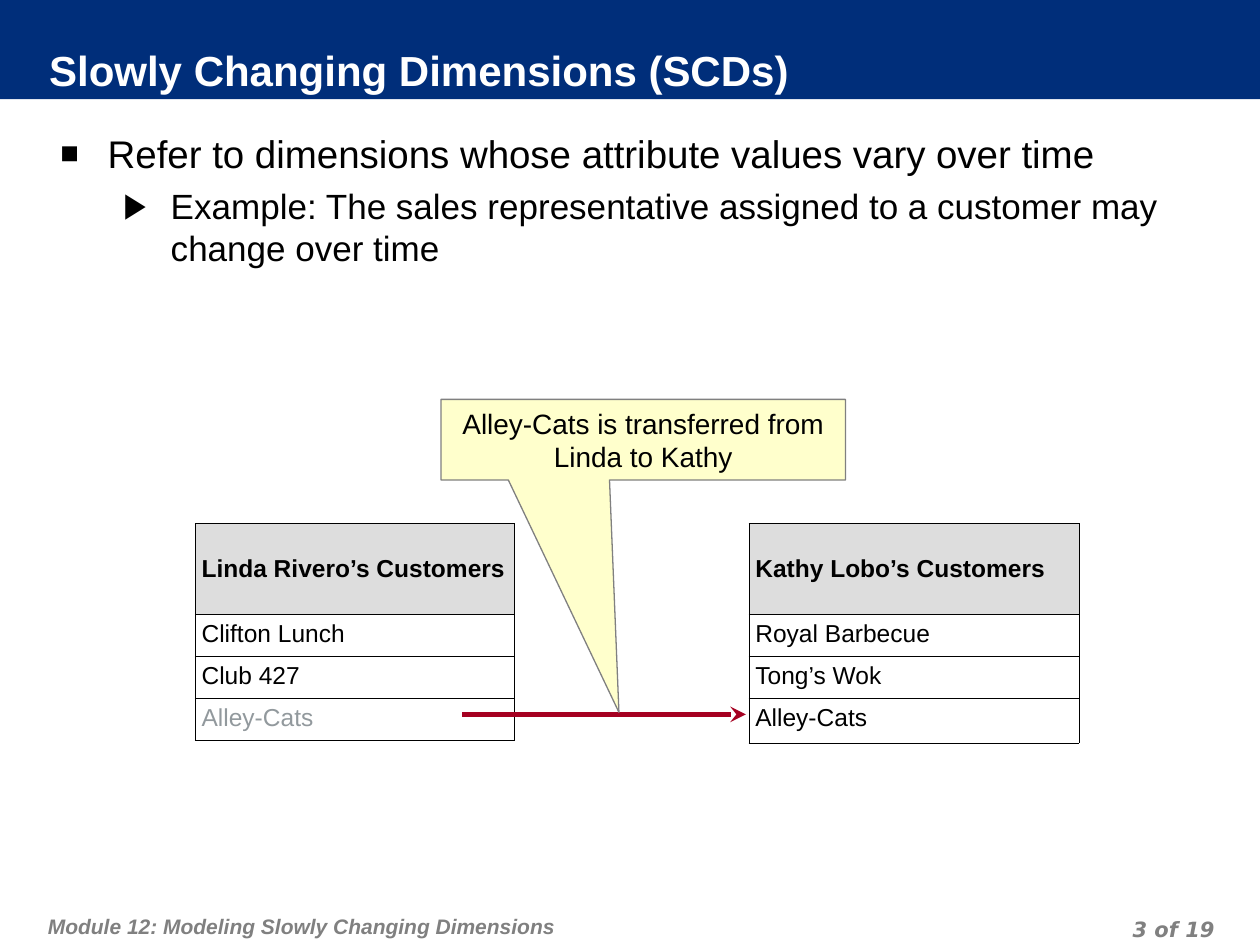
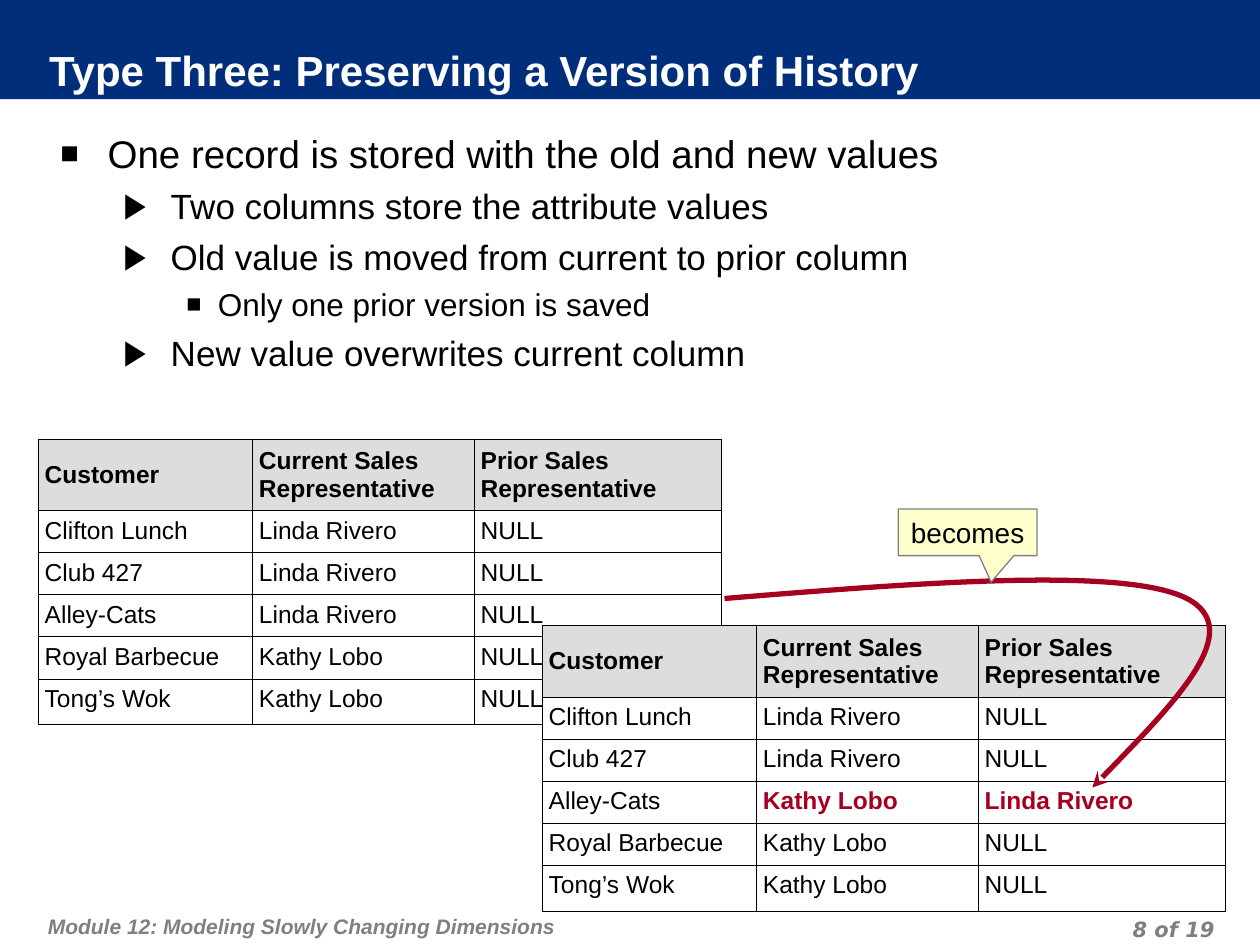
import lxml.etree
import pptx
import pptx.dml.color
import pptx.enum.shapes
import pptx.enum.text
import pptx.oxml.ns
import pptx.util

COLORS = {
    "navy": "002E7A", "white": "FFFFFF", "black": "000000", "gray": "808080",
    "faded": "92999D", "header": "DDDDDD", "note": "FFFFCC", "red": "A50021",
}
FONT = "Arial"
PAGE_COLUMNS, PAGE_ROWS = 100, 75
STEP = pptx.util.Inches(0.1)  # side of one grid square

# Bullet levels: marker, marker size in %, text size, space before, left, hang
LEVELS = [
    ("■", 80, 22, 5.5, 3.75, 3.75),
    ("▶", 100, 20, 5, 8.75, 3.75),
    ("■", 80, 18, 4.5, 12.5, 2.5),
]
PRIOR_COLUMNS = [17, 17.6, 19.6]
PRIOR_ROWS = [5.3, 3.15, 3.3, 3.3, 3.3, 3.65]
PRIOR_HEADER = ["Customer", "Current Sales Representative", "Prior Sales Representative"]
CUSTOMERS = [
    ("Clifton Lunch", "Linda Rivero"), ("Club 427", "Linda Rivero"),
    ("Alley-Cats", "Linda Rivero"), ("Royal Barbecue", "Kathy Lobo"),
    ("Tong’s Wok", "Kathy Lobo"),
]


# Shared helpers
def grid(*squares):
    return [pptx.util.Emu(round(count * STEP)) for count in squares]


def rgb(color):
    return pptx.dml.color.RGBColor.from_string(COLORS[color])


def add_xml(parent, tag, **attributes):
    return lxml.etree.SubElement(parent, pptx.oxml.ns.qn(tag), attributes)


def paint(target, color):
    target.fill.solid()
    target.fill.fore_color.rgb = rgb(color)


def set_line(shape, color, width):
    shape.line.color.rgb = rgb(color)
    shape.line.width = pptx.util.Pt(width)


def add_arrowhead(shape):
    line = shape.element.spPr.find(pptx.oxml.ns.qn("a:ln"))
    add_xml(line, "a:tailEnd", type="stealth")


def style(para, size, color="black", bold=False, italic=False, font=FONT):
    para.font.name = font
    para.font.size = pptx.util.Pt(size)
    para.font.color.rgb = rgb(color)
    para.font.bold = bold
    para.font.italic = italic


def set_margins(target, left, top, right, bottom):
    (target.margin_left, target.margin_top,
     target.margin_right, target.margin_bottom) = grid(left, top, right, bottom)


def move(shape, *place):
    shape.left, shape.top, shape.width, shape.height = grid(*place)


# Page frame: band, footer, title
def add_footer(page, place, margins, text, font, align):
    box = page.shapes.add_textbox(*grid(*place))
    frame = box.text_frame
    frame.word_wrap = True
    set_margins(frame, *margins)
    para = frame.paragraphs[0]
    para.text = text
    para.alignment = align
    para.line_spacing = pptx.util.Pt(18)
    para.space_before = pptx.util.Pt(6)
    style(para, 12, "gray", bold=True, italic=True, font=font)


def add_page(deck, title, number):
    page = deck.slides.add_slide(deck.slide_layouts[1])
    band = page.shapes.add_shape(
        pptx.enum.shapes.MSO_SHAPE.RECTANGLE, *grid(0, 0, PAGE_COLUMNS, 7.87))
    band.shadow.inherit = False
    paint(band, "navy")
    band.line.fill.background()
    page.shapes._spTree.insert(2, band.element)  # behind the title

    align = pptx.enum.text.PP_ALIGN
    add_footer(page, (3.3, 71, 61.8, 4), (0.5, 1, 0.5, 0.5),
               "Module 12: Modeling Slowly Changing Dimensions", FONT, align.LEFT)
    add_footer(page, (73.6, 72.2, 23.3, 2.5), (0.5, 0, 0.5, 0),
               f"{number} of 19", "DejaVu Sans", align.RIGHT)

    heading = page.shapes.title
    move(heading, 3.9, 3.8, 78.7, 4)
    paint(heading, "navy")
    frame = heading.text_frame
    frame.text = title
    frame.auto_size = pptx.enum.text.MSO_AUTO_SIZE.NONE
    frame.vertical_anchor = pptx.enum.text.MSO_ANCHOR.MIDDLE
    set_margins(frame, 0, 0, 0.5, 0.5)
    frame.paragraphs[0].alignment = align.LEFT
    style(frame.paragraphs[0], 24, "white", bold=True)
    return page


# Content elements
def fill_body(page, items):
    body = page.placeholders[1]
    move(body, 3.8, 9.3, 93, 61.8)
    frame = body.text_frame
    frame.auto_size = pptx.enum.text.MSO_AUTO_SIZE.NONE
    frame.vertical_anchor = pptx.enum.text.MSO_ANCHOR.TOP
    set_margins(frame, 1, 1, 1, 0.5)
    frame.text = "\n".join(text for _, text in items)
    for para, (level, _) in zip(frame.paragraphs, items):
        marker, marker_size, size, before, left, hang = LEVELS[level]
        para.level = level
        para.space_before = pptx.util.Pt(before)
        properties = para._p.get_or_add_pPr()
        indent, hanging = grid(left, hang)
        properties.set("marL", str(indent))
        properties.set("indent", str(-hanging))
        add_xml(add_xml(properties, "a:buClr"), "a:srgbClr", val=COLORS["black"])
        add_xml(properties, "a:buSzPct", val=str(marker_size * 1000))
        add_xml(properties, "a:buFont", typeface=FONT)
        add_xml(properties, "a:buChar", char=marker)
        style(para, size)


def add_borders(cell):
    properties = cell._tc.get_or_add_tcPr()
    for side in ("a:lnL", "a:lnR", "a:lnT", "a:lnB"):
        border = add_xml(properties, side, w=str(pptx.util.Pt(0.45)))
        add_xml(add_xml(border, "a:solidFill"), "a:srgbClr", val=COLORS["black"])


def add_table(page, left, top, columns, heights, rows, accents):
    """Accents maps (row, column) to the colour and weight of a cell's text."""
    place = grid(left, top, sum(columns), sum(heights))
    table = page.shapes.add_table(len(rows), len(columns), *place).table
    table.first_row = table.horz_banding = False
    for column, width in zip(table.columns, grid(*columns)):
        column.width = width
    for row, height in zip(table.rows, grid(*heights)):
        row.height = height
    for row, texts in enumerate(rows):
        for column, text in enumerate(texts):
            cell = table.cell(row, column)
            is_header = row == 0
            anchor = pptx.enum.text.MSO_ANCHOR
            cell.vertical_anchor = anchor.MIDDLE if is_header else anchor.TOP
            set_margins(cell, 0.5, 0.5, 0.2, 0.5)
            add_borders(cell)
            paint(cell, "header" if is_header else "white")
            cell.text = text
            para = cell.text_frame.paragraphs[0]
            para.space_before = pptx.util.Pt(3.5)
            color, bold = accents.get((row, column), ("black", is_header))
            style(para, 14, color, bold)


def add_callout(page, place, pointer, text, wrap=True):
    callout = page.shapes.add_shape(
        pptx.enum.shapes.MSO_SHAPE.RECTANGULAR_CALLOUT, *grid(*place))
    callout.shadow.inherit = False
    callout.adjustments[0], callout.adjustments[1] = pointer
    paint(callout, "note")
    set_line(callout, "gray", 0.75)
    frame = callout.text_frame
    frame.word_wrap = wrap
    frame.vertical_anchor = pptx.enum.text.MSO_ANCHOR.MIDDLE
    set_margins(frame, 1, 0.5, 1, 0.5)
    para = frame.paragraphs[0]
    para.text = text
    para.alignment = pptx.enum.text.PP_ALIGN.CENTER
    style(para, 16)


def add_arrow(page, *ends):
    arrow = page.shapes.add_connector(
        pptx.enum.shapes.MSO_CONNECTOR.STRAIGHT, *grid(*ends))
    set_line(arrow, "red", 3)
    add_arrowhead(arrow)
    add_xml(arrow.element.spPr, "a:effectLst")


def add_curved_arrow(page, start, controls):
    """Every three controls make one Bézier segment."""
    builder = page.shapes.build_freeform(*grid(*start))
    builder.add_line_segments([grid(*point) for point in controls], close=False)
    curve = builder.convert_to_shape()
    curve.shadow.inherit = False
    curve.fill.background()
    set_line(curve, "red", 3)
    add_arrowhead(curve)
    outline = next(curve.element.iter(pptx.oxml.ns.qn("a:path")))
    outline.set("fill", "none")
    segments = outline.findall(pptx.oxml.ns.qn("a:lnTo"))
    for first in range(0, len(segments), 3):
        bezier = add_xml(outline, "a:cubicBezTo")
        for segment in segments[first:first + 3]:
            bezier.append(segment[0])
            outline.remove(segment)


# Slides
def build_overview(deck):
    page = add_page(deck, "Slowly Changing Dimensions (SCDs)", 3)
    fill_body(page, [
        (0, "Refer to dimensions whose attribute values vary over time"),
        (1, "Example: The sales representative assigned to a customer may "
            "change over time"),
    ])
    linda = ["Linda Rivero’s Customers", "Clifton Lunch", "Club 427", "Alley-Cats"]
    kathy = ["Kathy Lobo’s Customers", "Royal Barbecue", "Tong’s Wok", "Alley-Cats"]
    for names, left, width, last, accents in (
            (linda, 15.5, 25.3, 3.25, {(3, 0): ("faded", False)}),
            (kathy, 59.45, 26.2, 3.55, {})):
        add_table(page, left, 41.55, [width], [7.2, 3.15, 3.15, last],
                  [[name] for name in names], accents)
    add_arrow(page, 36.7, 56.7, 59.2, 56.7)
    add_callout(page, (35, 31.7, 32.1, 6.4), (-0.06, 3.38),
                "Alley-Cats is transferred from Linda to Kathy")


def build_type_three(deck):
    page = add_page(deck, "Type Three: Preserving a Version of History", 8)
    fill_body(page, [
        (0, "One record is stored with the old and new values"),
        (1, "Two columns store the attribute values"),
        (1, "Old value is moved from current to prior column"),
        (2, "Only one prior version is saved"),
        (1, "New value overwrites current column"),
    ])
    before = [PRIOR_HEADER] + [[name, rep, "NULL"] for name, rep in CUSTOMERS]
    after = [list(row) for row in before]
    after[3][1:] = ["Kathy Lobo", "Linda Rivero"]
    changed = {(3, column): ("red", True) for column in (1, 2)}
    add_table(page, 3.05, 34.85, PRIOR_COLUMNS, PRIOR_ROWS, before, {})
    add_table(page, 43.05, 49.65, PRIOR_COLUMNS, PRIOR_ROWS, after, changed)
    add_curved_arrow(page, (57.5, 47.5), [
        (73.4, 46.2), (89.3, 45), (94.2, 47.5),
        (99, 50), (92.8, 56.2), (86.7, 62.5),
    ])
    add_callout(page, (71.3, 40.4, 11, 3.7), (0.17, 1.07), "becomes", wrap=False)


def main():
    deck = pptx.Presentation()
    deck.slide_width, deck.slide_height = grid(PAGE_COLUMNS, PAGE_ROWS)
    build_overview(deck)
    build_type_three(deck)
    deck.save("out.pptx")


if __name__ == "__main__":
    main()
